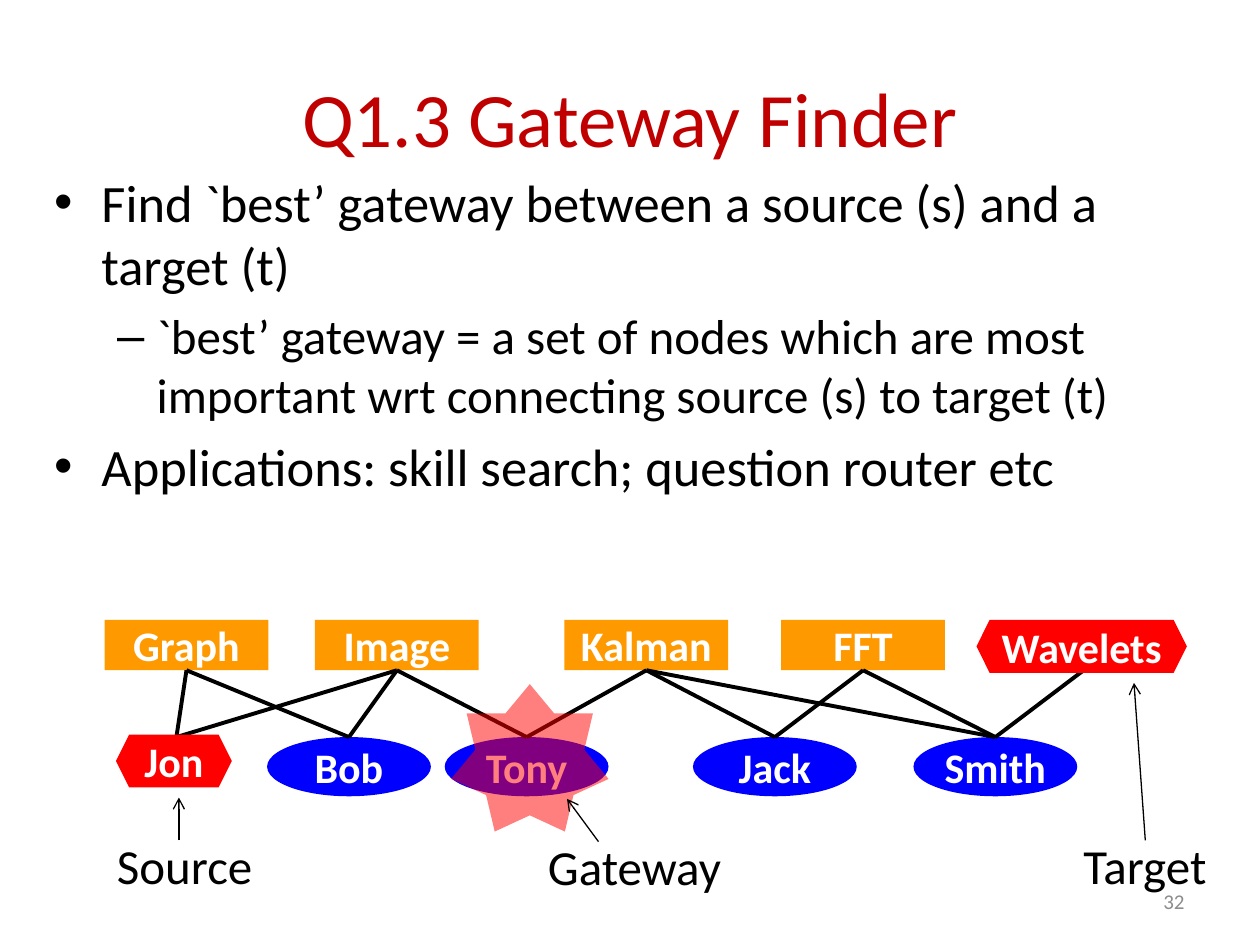
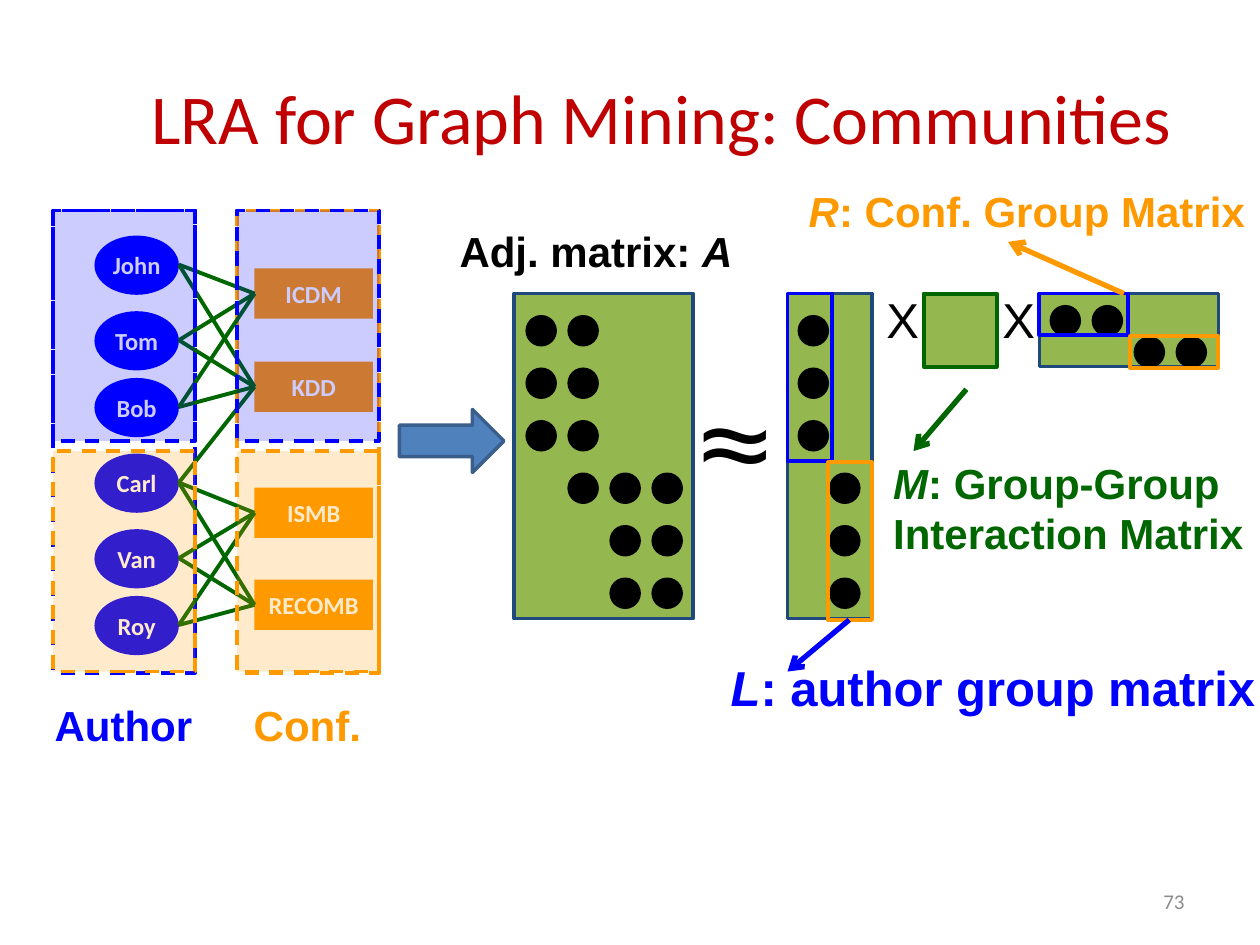
from lxml.etree import SubElement
from pptx import Presentation
from pptx.dml.color import RGBColor
from pptx.enum.dml import MSO_LINE
from pptx.enum.shapes import MSO_CONNECTOR, MSO_SHAPE
from pptx.enum.text import MSO_ANCHOR, MSO_AUTO_SIZE, PP_ALIGN
from pptx.oxml.ns import qn
from pptx.util import Inches, Pt

BLACK, WHITE, GREY = "000000", "FFFFFF", "8C8C8C"
TITLE_RED, RED, BLUE, ORANGE, GREEN = "C00000", "FF0000", "0000FF", "FF9900", "006600"
MATRIX_FILL, MATRIX_LINE = "95B74F", "1F497D"
CONTENT_LAYOUT, TITLE_ONLY_LAYOUT = 1, 5
TOP, LEFT, BOTTOM = 0, 1, 2

# Gateway slide
POINTS = [
    (0, 30, "Find `best’ gateway between a source (s) and a target (t)"),
    (1, 28, "`best’ gateway = a set of nodes which are most important wrt "
            "connecting source (s) to target (t)"),
    (0, 30, "Applications: skill search; question router etc"),
]
SKILLS = {"Graph": 0.83, "Image": 2.5, "Kalman": 4.48, "FFT": 6.2}
PEOPLE = {"Bob": 2.12, "Tony": 3.53, "Jack": 5.5, "Smith": 7.25}
ENDPOINTS = {"Wavelets": (7.75, 4.92, 1.67, 0.42), "Jon": (0.92, 5.83, 0.92, 0.42)}
JON_TOP, WAVELETS_BOTTOM = (1.4, 5.85), (8.6, 5.32)
SKILL_EDGES = [
    ("Graph", "Jon"), ("Graph", "Bob"), ("Image", "Jon"), ("Image", "Bob"),
    ("Image", "Tony"), ("Kalman", "Tony"), ("Kalman", "Jack"), ("Kalman", "Smith"),
    ("FFT", "Jack"), ("FFT", "Smith"), ("Wavelets", "Smith"),
]
ROLES = [  # name, left, top, wrap, arrow start, arrow end
    ("Gateway", 4.25, 6.59, False, (4.75, 6.68), (4.5, 6.34)),
    ("Source", 0.83, 6.58, True, (1.42, 6.67), (1.42, 6.33)),
    ("Target", 8.5, 6.58, True, (9.09, 6.67), (9, 5.42)),
]

# Communities slide
AUTHORS = {"John": 1.87, "Tom": 2.47, "Bob": 3, "Carl": 3.6, "Van": 4.2, "Roy": 4.73}
VENUES = {"ICDM": 2.13, "KDD": 2.87, "ISMB": 3.87, "RECOMB": 4.6}
PUBLISHED = {
    "John": ["ICDM", "KDD"], "Tom": ["ICDM", "KDD"], "Bob": ["ICDM", "KDD"],
    "Carl": ["KDD", "ISMB", "RECOMB"], "Van": ["ISMB", "RECOMB"], "Roy": ["ISMB", "RECOMB"],
}
SIDES = [(1.88, ORANGE), (0.42, BLUE)]
COMMUNITIES = [(1.67, 1.83, BLUE), (3.58, 1.75, ORANGE)]
MATRICES = [  # place, first dot, dot steps, rows of dots
    ((4.08, 2.33, 1.42, 2.58), (4.17, 2.5), (1 / 3, 5 / 12),
     ["●●··", "●●··", "●●··", "·●●●", "··●●", "··●●"]),
    ((6.25, 2.33, 0.67, 2.58), (6.33, 2.5), (0.25, 5 / 12),
     ["●·", "●·", "●·", "·●", "·●", "·●"]),
    ((7.33, 2.33, 0.58, 0.58), (0, 0), (0, 0), []),
    ((8.25, 2.33, 1.42, 0.58), (8.33, 2.42), (1 / 3, 0.25), ["●●··", "··●●"]),
]
BLOCKS = [
    ((6.25, 2.33, 0.35, 1.33), BLUE), ((6.57, 3.67, 0.35, 1.25), ORANGE),
    ((7.33, 2.33, 0.58, 0.58), GREEN),
    ((8.25, 2.33, 0.7, 0.33), BLUE), ((8.97, 2.67, 0.7, 0.25), ORANGE),
]
OPERATORS = [("~", (5.42, 2.91, 0.83, 1.92), 72), ("~", (5.42, 2.75, 0.83, 1.92), 72),
             ("X", (6.75, 2.25, 0.83, 0.57), 28), ("X", (7.67, 2.25, 0.83, 0.57), 28)]
CAPTIONS = [  # text with *italics*, place, size, colour, alignment
    ("Author", (0.33, 5.5, 1.3, 0.51), 24, BLUE, PP_ALIGN.CENTER),
    ("Conf.", (1.91, 5.5, 1.06, 0.51), 24, ORANGE, PP_ALIGN.CENTER),
    ("Adj. matrix: *A*", (3.54, 1.74, 2.38, 0.51), 24, BLACK, PP_ALIGN.CENTER),
    ("*R*: Conf. Group Matrix", (6.3, 1.42, 3.7, 0.51), 24, ORANGE, PP_ALIGN.CENTER),
    ("*M*: Group-Group\nInteraction Matrix", (6.99, 3.58, 3.01, 0.91), 24, GREEN,
     PP_ALIGN.LEFT),
    ("*L*: author group matrix", (5.67, 5.17, 4.42, 0.57), 28, BLUE, PP_ALIGN.CENTER),
]
POINTERS = [((7.67, 3.09), (7.25, 3.58), GREEN), ((8.92, 2.33), (8, 1.92), ORANGE),
            ((6.74, 4.92), (6.25, 5.33), BLUE)]


def rgb(color):
    return RGBColor.from_string(color)


def inches(values):
    return [Inches(value) for value in values]


def write(frame, text, *, size, color=BLACK, font="Calibri", bold=False, align=PP_ALIGN.LEFT):
    """Fill a text frame; newlines part paragraphs and *stars* enclose italics."""
    for number, line in enumerate(text.split("\n")):
        para = frame.add_paragraph() if number else frame.paragraphs[0]
        para.alignment = align
        for index, piece in enumerate(line.split("*")):
            if piece:
                span = para.add_run()
                span.text = piece
                span.font.name, span.font.size = font, Pt(size)
                span.font.bold, span.font.italic = bold, index % 2 == 1
                span.font.color.rgb = rgb(color)


def add_label(page, text, place, *, wrap=False, anchor=MSO_ANCHOR.TOP, **style):
    frame = page.shapes.add_textbox(*inches(place)).text_frame
    frame.word_wrap = wrap
    frame.auto_size = MSO_AUTO_SIZE.SHAPE_TO_FIT_TEXT
    frame.vertical_anchor = anchor
    write(frame, text, **style)


def add_figure(page, kind, place, *, fill=None, alpha=None, line=None, width=2, dash=False):
    """Add a preset shape; alpha is the opacity of its fill in percent."""
    shape = page.shapes.add_shape(kind, *inches(place))
    shape.shadow.inherit = False
    if fill:
        shape.fill.solid()
        shape.fill.fore_color.rgb = rgb(fill)
    else:
        shape.fill.background()
    if alpha:
        tint = shape.fill._xPr.find(qn("a:solidFill"))[0]
        SubElement(tint, qn("a:alpha"), val=str(alpha * 1000))
    if line:
        shape.line.color.rgb = rgb(line)
        shape.line.width = Pt(width)
        if dash:
            shape.line.dash_style = MSO_LINE.DASH
    else:
        shape.line.fill.background()
    return shape


def add_node(page, kind, text, place, fill, size):
    node = add_figure(page, kind, place, fill=fill)
    frame = node.text_frame
    frame.margin_left = frame.margin_right = 0
    frame.word_wrap = True
    frame.vertical_anchor = MSO_ANCHOR.MIDDLE
    write(frame, text, size=size, color=WHITE, bold=True, align=PP_ALIGN.CENTER)
    return node


def add_line(page, start, end, color=BLACK, width=2.25, arrow=False):
    """Join two ends, each a point or a pair of a shape and its connection site."""
    points = [(0, 0) if hasattr(stop[0], "shape_id") else stop for stop in (start, end)]
    line = page.shapes.add_connector(MSO_CONNECTOR.STRAIGHT, *inches(points[0] + points[1]))
    for stop, join in ((start, line.begin_connect), (end, line.end_connect)):
        if hasattr(stop[0], "shape_id"):
            join(*stop)
    line.line.color.rgb = rgb(color)
    line.line.width = Pt(width)
    if arrow:
        SubElement(line.line._get_or_add_ln(), qn("a:tailEnd"), type="arrow")
    SubElement(line._element.spPr, qn("a:effectLst"))


def add_page(deck, layout, title, number, size, width):
    page = deck.slides.add_slide(deck.slide_layouts[layout])
    heading = page.shapes.title
    heading.left, heading.top, heading.width, heading.height = inches((0.5, 0.3, width, 1.25))
    heading.text_frame.vertical_anchor = MSO_ANCHOR.MIDDLE
    write(heading.text_frame, title, size=size, color=TITLE_RED, align=PP_ALIGN.CENTER)
    add_label(page, number, (7.17, 6.95, 2.33, 0.4), wrap=True, anchor=MSO_ANCHOR.MIDDLE,
              size=12, color=GREY, align=PP_ALIGN.RIGHT)
    return page


def add_points(page):
    body = page.placeholders[1]
    body.left, body.top, body.width, body.height = inches((0.33, 1.3, 9, 4.95))
    frame = body.text_frame
    frame.auto_size = MSO_AUTO_SIZE.NONE
    for number, (level, size, text) in enumerate(POINTS):
        para = frame.add_paragraph() if number else frame.paragraphs[0]
        para.level = level
        if number == 0:
            para.space_before = Pt(0)
        span = para.add_run()
        span.text = text
        span.font.name, span.font.size = "Calibri", Pt(size)
        span.font.color.rgb = rgb(BLACK)


def build_gateway(deck):
    page = add_page(deck, CONTENT_LAYOUT, "Q1.3 Gateway Finder", "32", 44, 9)
    add_points(page)
    bottoms, tops = {"Wavelets": WAVELETS_BOTTOM}, {"Jon": JON_TOP}
    for name, left in SKILLS.items():
        skill = add_node(page, MSO_SHAPE.RECTANGLE, name, (left, 4.92, 1.3, 0.4), ORANGE, 24)
        bottoms[name] = (skill, BOTTOM)
    for name, left in PEOPLE.items():
        person = add_node(page, MSO_SHAPE.OVAL, name, (left, 5.85, 1.3, 0.47), BLUE, 24)
        tops[name] = (person, TOP)
    for skill, person in SKILL_EDGES:
        add_line(page, bottoms[skill], tops[person])
    for name, place in ENDPOINTS.items():
        add_node(page, MSO_SHAPE.HEXAGON, name, place, RED, 24)
    add_figure(page, MSO_SHAPE.STAR_7_POINT, (3.58, 5.43, 1.25, 1.17), fill=RED, alpha=50)
    for name, left, top, wrap, start, end in ROLES:
        add_label(page, name, (left, top, 1.59, 0.57), wrap=wrap, size=28)
        add_line(page, start, end, width=0.75, arrow=True)


def add_author_graph(page):
    for left, color in SIDES:
        add_figure(page, MSO_SHAPE.RECTANGLE, (left, 1.67, 1.13, 3.67), line=color, dash=True)
    for name, top in AUTHORS.items():
        add_node(page, MSO_SHAPE.OVAL, name, (0.75, top, 0.67, 0.47), BLUE, 14)
    venues = {name: add_node(page, MSO_SHAPE.RECTANGLE, name, (2.02, top, 0.94, 0.4), ORANGE, 14)
              for name, top in VENUES.items()}
    for author, names in PUBLISHED.items():
        for name in names:
            add_line(page, (1.42, AUTHORS[author] + 0.23), (venues[name], LEFT), GREEN)
    for left, _ in SIDES:
        for top, height, color in COMMUNITIES:
            add_figure(page, MSO_SHAPE.RECTANGLE, (left, top, 1.13, height),
                       fill=color, alpha=20, line=color, dash=True)


def add_matrices(page):
    for place, (left, top), (across, down), rows in MATRICES:
        add_figure(page, MSO_SHAPE.RECTANGLE, place, fill=MATRIX_FILL, line=MATRIX_LINE)
        for row, marks in enumerate(rows):
            for column, mark in enumerate(marks):
                if mark == "●":
                    dot = (left + column * across, top + row * down, 0.25, 0.25)
                    add_figure(page, MSO_SHAPE.OVAL, dot, fill=BLACK)
    for place, color in BLOCKS:
        add_figure(page, MSO_SHAPE.RECTANGLE, place, line=color, width=2.25)


def build_communities(deck):
    page = add_page(deck, TITLE_ONLY_LAYOUT, "LRA for Graph Mining: Communities", "73", 40, 9.5)
    add_author_graph(page)
    add_figure(page, MSO_SHAPE.RIGHT_ARROW, (3.17, 3.25, 0.83, 0.5),
               fill="4F81BD", line="3A5F8C")
    add_matrices(page)
    for text, place, size in OPERATORS:
        add_label(page, text, place, wrap=True, size=size, font="Arial", align=PP_ALIGN.CENTER)
    for text, place, size, color, align in CAPTIONS:
        add_label(page, text, place, size=size, color=color, font="Arial", bold=True, align=align)
    for start, end, color in POINTERS:
        add_line(page, start, end, color, width=3, arrow=True)


def main():
    deck = Presentation()
    deck.slide_width, deck.slide_height = Inches(10), Inches(7.5)
    build_gateway(deck)
    build_communities(deck)
    deck.save("out.pptx")


if __name__ == "__main__":
    main()
